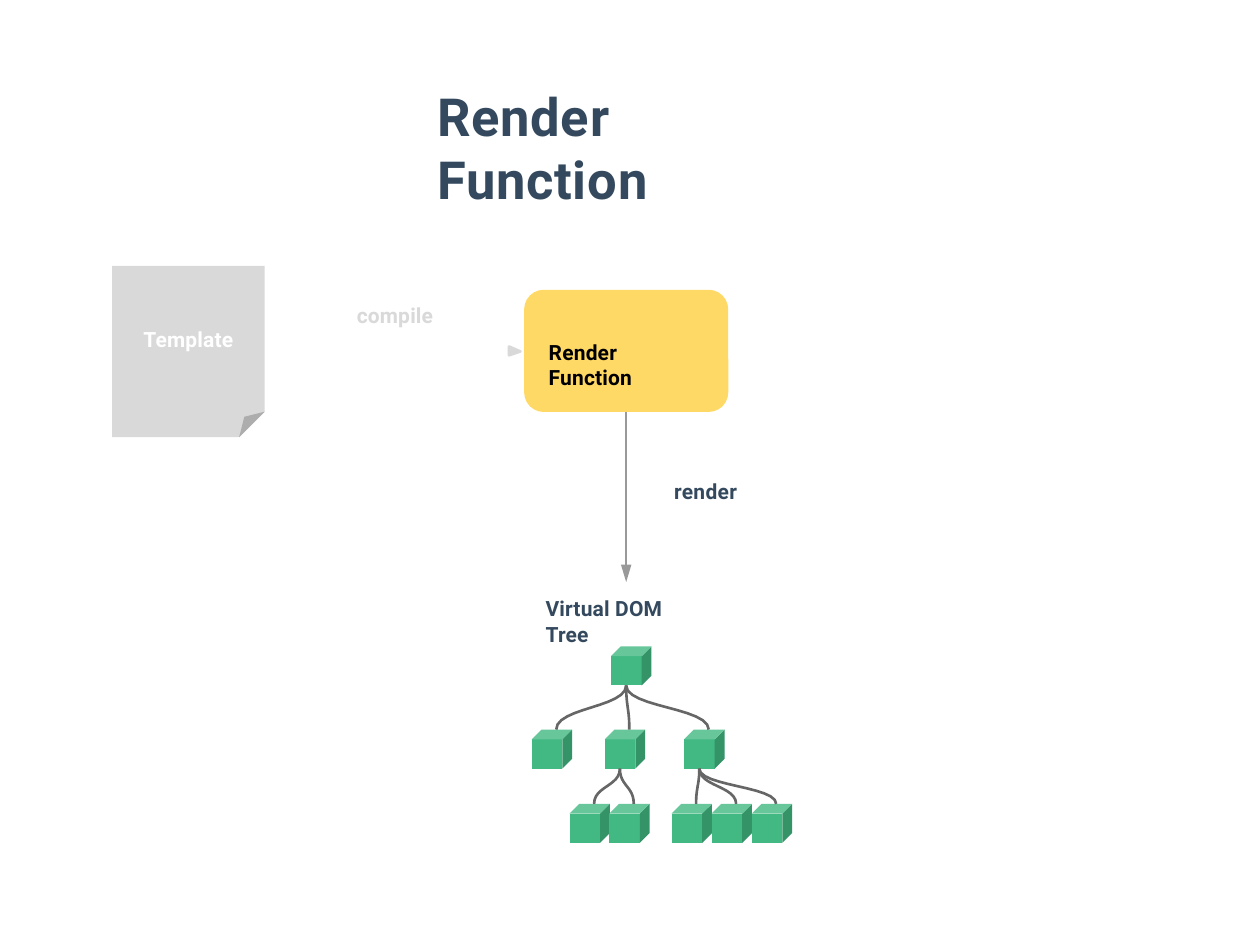
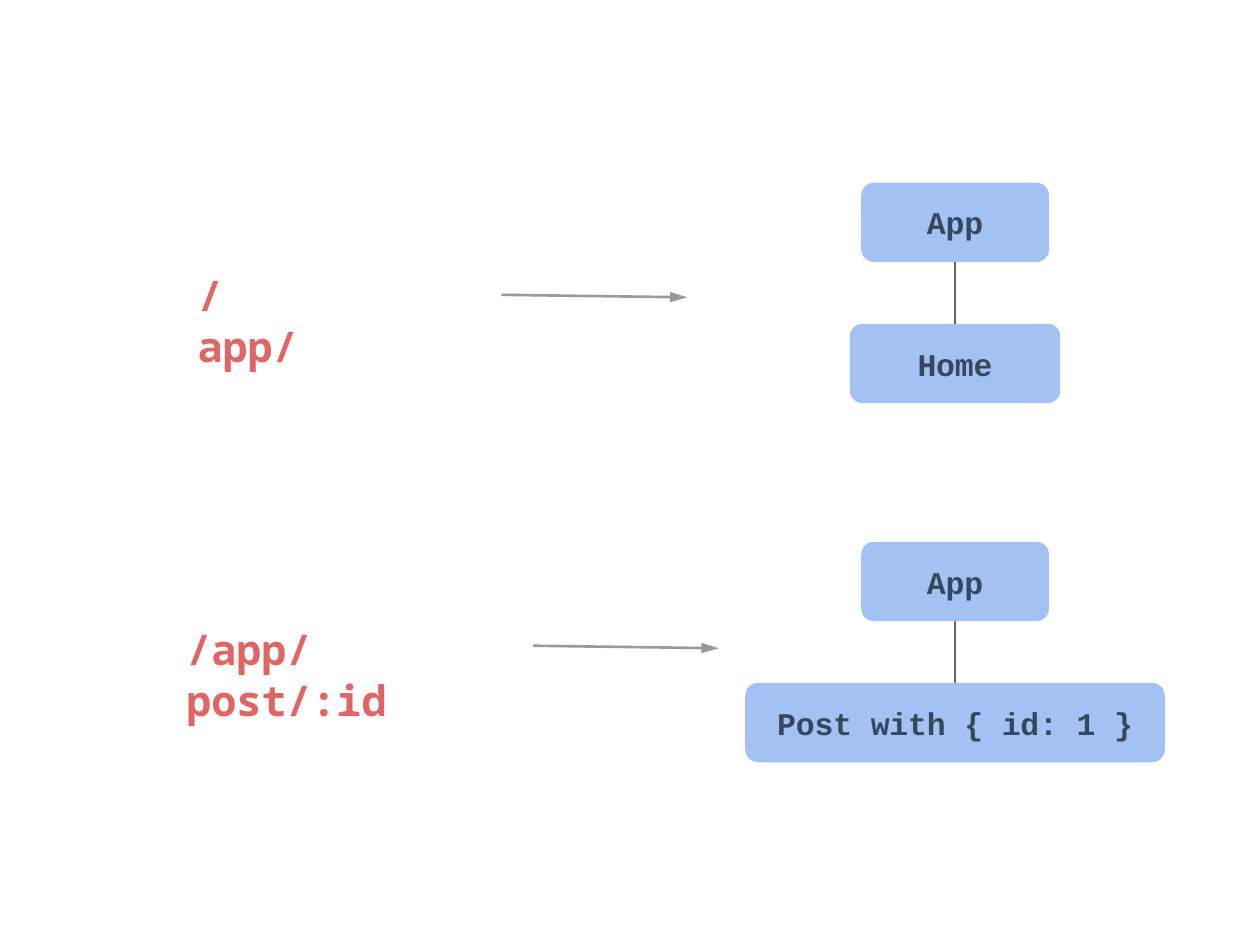
from dataclasses import dataclass
from typing import Optional

from pptx import Presentation
from pptx import util as u
from pptx.dml.color import RGBColor
from pptx.enum import shapes, text
from pptx.oxml.ns import qn
from lxml import etree

NAVY = RGBColor(0x34, 0x49, 0x5E)
BLACK = RGBColor(0, 0, 0)
WHITE = RGBColor(0xFF, 0xFF, 0xFF)
PALE_GRAY = RGBColor(0xD9, 0xD9, 0xD9)
ARROW_GRAY = RGBColor(0x99, 0x99, 0x99)
BRANCH_GRAY = RGBColor(0x66, 0x66, 0x66)
YELLOW = RGBColor(0xFF, 0xD9, 0x66)
GREEN = RGBColor(0x42, 0xB9, 0x83)
BLUE = RGBColor(0xA4, 0xC1, 0xF4)
RED = RGBColor(0xE0, 0x66, 0x66)

WIDTH, HEIGHT = u.Inches(10), u.Inches(7.5)
COLUMNS, ROWS = 100, 75
CORNER_SHARE = 0.16
CUBE_COLUMNS, CUBE_ROWS = 3.2, 3.1
CURVE_STEPS = 12
COMPONENT_CENTER, COMPONENT_ROWS, COMPONENT_STEP = 75.8, 6.3, 11.2


@dataclass(frozen=True)
class Area:
    column: float
    row: float
    columns: float
    rows: float


@dataclass(frozen=True)
class Label:
    words: str
    area: Area
    size: float = 12
    color: RGBColor = NAVY
    font: str = "Roboto"
    spacing: float = 0.1
    align: text.PP_ALIGN = text.PP_ALIGN.LEFT


@dataclass(frozen=True)
class Node:
    column: float
    row: float
    parent: Optional[int] = None


@dataclass(frozen=True)
class Route:
    url: Label
    arrow_start: tuple[float, float]
    top: float
    component: str
    component_columns: float


SLIDE_1_LABELS = (
    Label("compile", Area(21.2, 23.8, 20.2, 4.2), color=PALE_GRAY, align=text.PP_ALIGN.CENTER),
    Label("render", Area(53.4, 37.8, 7, 2.3), spacing=0.2),
    Label("Virtual DOM Tree", Area(43.2, 47.1, 12, 2.3)),
    Label("Render Function", Area(34.6, 6.5, 29.5, 5.3), size=30, spacing=0.45),
)

TREE = (
    Node(48.5, 51.3),
    Node(42.2, 57.9, 0),
    Node(48, 57.9, 0),
    Node(54.3, 57.9, 0),
    *(Node(45.2 + 3.15 * i, 63.8, 2) for i in range(2)),
    *(Node(53.3 + 3.18 * i, 63.8, 3) for i in range(3)),
)


def url_label(words: str, area: Area) -> Label:
    return Label(words, area, size=24, color=RED, font="Noto Sans Mono", spacing=-0.1)


ROUTES = (
    Route(url_label("/app/", Area(15.6, 21.2, 9.3, 4.3)), (39.8, 23.4), 14.5, "Home", 16.7),
    Route(url_label("/app/post/:id", Area(14.7, 49.3, 24, 4.3)), (42.3, 51.25), 43,
          "Post with { id: 1 }", 33.3),
)


def x(column: float) -> u.Emu:
    return u.Emu(round(WIDTH * column / COLUMNS))


def y(row: float) -> u.Emu:
    return u.Emu(round(HEIGHT * row / ROWS))


def bounds(area: Area) -> tuple[u.Emu, ...]:
    return x(area.column), y(area.row), x(area.columns), y(area.rows)


def write_text(shape, words: str, *, size: float = 12, color: RGBColor = NAVY,
               font: str = "Roboto", spacing: float = 0.1,
               align: text.PP_ALIGN = text.PP_ALIGN.CENTER,
               anchor: text.MSO_ANCHOR = text.MSO_ANCHOR.MIDDLE,
               margins: tuple[float, float, float, float] = (0, 0, 0, 0)) -> None:
    frame = shape.text_frame
    frame.word_wrap = True
    frame.vertical_anchor = anchor
    left, top, right, bottom = margins
    frame.margin_left, frame.margin_right = x(left), x(right)
    frame.margin_top, frame.margin_bottom = y(top), y(bottom)
    paragraph = frame.paragraphs[0]
    paragraph.alignment = align
    run = paragraph.add_run()
    run.text = words
    run.font.name, run.font.size, run.font.bold = font, u.Pt(size), True
    run.font.color.rgb = color
    run._r.get_or_add_rPr().set("spc", str(round(spacing * 100)))


def draw_label(slide, label: Label) -> None:
    box = slide.shapes.add_textbox(*bounds(label.area))
    write_text(box, label.words, size=label.size, color=label.color, font=label.font,
               spacing=label.spacing, align=label.align, anchor=text.MSO_ANCHOR.TOP,
               margins=(0.1, 0.2, 0, 0))


def draw_shape(slide, kind: shapes.MSO_SHAPE, area: Area, color: RGBColor):
    shape = slide.shapes.add_shape(kind, *bounds(area))
    shape.shadow.inherit = False
    shape.fill.solid()
    shape.fill.fore_color.rgb = color
    shape.line.fill.background()
    if kind == shapes.MSO_SHAPE.ROUNDED_RECTANGLE:
        shape.adjustments[0] = CORNER_SHARE
    return shape


def draw_line(slide, start: tuple[float, float], end: tuple[float, float],
              color: RGBColor, weight: float, arrow: bool = False):
    line = slide.shapes.add_connector(
        shapes.MSO_CONNECTOR.STRAIGHT, x(start[0]), y(start[1]), x(end[0]), y(end[1]))
    line.line.color.rgb = color
    line.line.width = u.Pt(weight)
    if arrow:
        etree.SubElement(line.line._get_or_add_ln(), qn("a:tailEnd"),
                         type="triangle", w="med", len="lg")
    etree.SubElement(line._element.spPr, qn("a:effectLst"))
    return line


def draw_outline(slide, points: list[tuple[float, float]], color: RGBColor,
                 filled: bool = False) -> None:
    corners = [(x(column), y(row)) for column, row in points]
    builder = slide.shapes.build_freeform(*corners[0])
    builder.add_line_segments(corners[1:], close=filled)
    outline = builder.convert_to_shape()
    outline.shadow.inherit = False
    outline.line.color.rgb = color
    outline.line.width = u.Pt(1.5)
    if filled:
        outline.fill.solid()
        outline.fill.fore_color.rgb = color
    else:
        outline.fill.background()


def draw_branch(slide, parent: Node, child: Node) -> None:
    start_column, start_row = parent.column + 1.2, parent.row + CUBE_ROWS
    across = child.column + 1.95 - start_column
    down = child.row - start_row
    steps = [i / CURVE_STEPS for i in range(CURVE_STEPS + 1)]
    draw_outline(slide, [(start_column + across * (3 * t**2 - 2 * t**3),
                          start_row + down * (1.5 * t * (1 - t) + t**3))
                         for t in steps], BRANCH_GRAY)


def draw_tree(slide) -> None:
    for node in TREE:
        draw_shape(slide, shapes.MSO_SHAPE.CUBE,
                   Area(node.column, node.row, CUBE_COLUMNS, CUBE_ROWS), GREEN)
    for node in TREE:
        if node.parent is not None:
            draw_branch(slide, TREE[node.parent], node)


def draw_component(slide, name: str, top: float, columns: float):
    area = Area(COMPONENT_CENTER - columns / 2, top, columns, COMPONENT_ROWS)
    component = draw_shape(slide, shapes.MSO_SHAPE.ROUNDED_RECTANGLE, area, BLUE)
    write_text(component, name, size=18, font="Courier New", spacing=-0.1)
    return component


def draw_route(slide, route: Route) -> None:
    draw_label(slide, route.url)
    column, row = route.arrow_start
    draw_line(slide, route.arrow_start, (column + 14.75, row + 0.2), ARROW_GRAY, 1.5, arrow=True)
    app = draw_component(slide, "App", route.top, 14.9)
    lower_top = route.top + COMPONENT_STEP
    child = draw_component(slide, route.component, lower_top, route.component_columns)
    link = draw_line(slide, (COMPONENT_CENTER, route.top + COMPONENT_ROWS),
                     (COMPONENT_CENTER, lower_top), BRANCH_GRAY, 0.75)
    link.begin_connect(app, 2)
    link.end_connect(child, 0)


def build_render_slide(slide) -> None:
    draw_outline(slide, [(40.4, 28.2), (40.4, 27.5), (41.3, 27.9)], PALE_GRAY, filled=True)
    function = draw_shape(slide, shapes.MSO_SHAPE.ROUNDED_RECTANGLE,
                          Area(41.6, 23, 16.2, 9.7), YELLOW)
    write_text(function, "Render Function", color=BLACK, align=text.PP_ALIGN.LEFT,
               anchor=text.MSO_ANCHOR.TOP, margins=(1.5, 3.5, 2.5, 0))
    template = draw_shape(slide, shapes.MSO_SHAPE.FOLDED_CORNER,
                          Area(8.9, 21.1, 12.1, 13.6), PALE_GRAY)
    write_text(template, "Template", color=WHITE)
    draw_tree(slide)
    arrow = draw_line(slide, (49.7, 32.7), (49.7, 46.2), ARROW_GRAY, 1.5, arrow=True)
    arrow.begin_connect(function, 2)
    for label in SLIDE_1_LABELS:
        draw_label(slide, label)


def build_routes_slide(slide) -> None:
    for route in ROUTES:
        draw_route(slide, route)


def main() -> None:
    presentation = Presentation()
    presentation.slide_width, presentation.slide_height = WIDTH, HEIGHT
    blank = presentation.slide_layouts[6]
    for build in (build_render_slide, build_routes_slide):
        build(presentation.slides.add_slide(blank))
    presentation.save("out.pptx")


if __name__ == "__main__":
    main()
